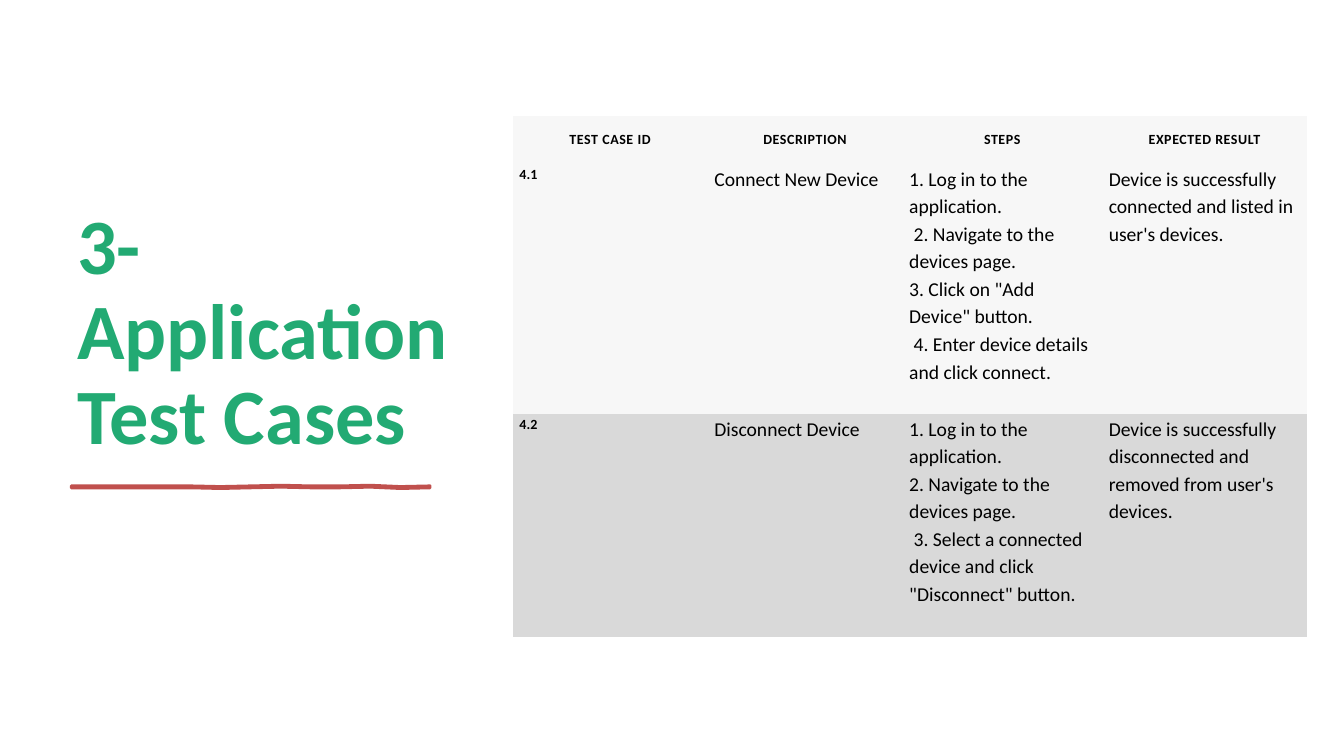
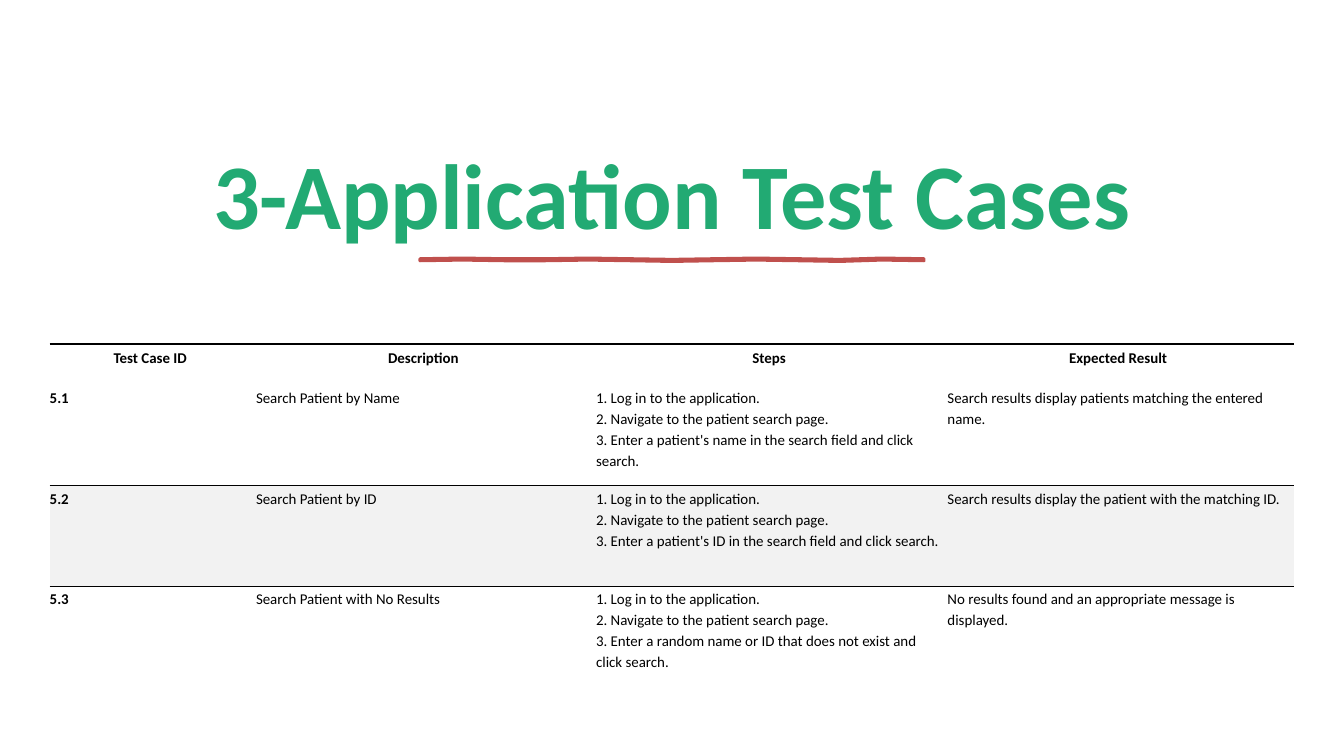
from lxml import etree
from pptx import Presentation
from pptx.dml.color import RGBColor
from pptx.enum.text import MSO_ANCHOR, PP_ALIGN
from pptx.oxml.ns import qn
from pptx.util import Pt

LEFT, CENTER = PP_ALIGN.LEFT, PP_ALIGN.CENTER
BOTTOM = MSO_ANCHOR.BOTTOM
EMU_PER_PX = 9144
FONT = "Calibri"
GREEN, RED, BLACK = "22AA73", "C0504D", "000000"
TITLE = "3-Application Test Cases"
NO_STYLE = "{2D5ABB26-0587-4C30-8999-92F81FD0307C}"
STROKE_HEIGHT = 3
LOG_IN = "1. Log in to the application."
SEARCH_PAGE = "2. Navigate to the patient search page."


def px(n):
    return n * EMU_PER_PX


def rgb(value):
    return RGBColor.from_string(value)


slides = [
    {
        "title_box": (105, 105, 586, 586), "title_size": 84, "title_align": LEFT,
        "stroke": (106, 723, 534), "stroke_width": 3,
        "wave": [0, 0, 0, 0, 0, 1, 0, -1, 0, 0, -1, 1, 0],
        "table_at": (763, 172), "cols": [290, 290, 297, 305], "rows": [72, 372, 332],
        "header_margins": (19, 19, 19, 19), "margins": (10, 0, 10, 13),
        "label_size": 15, "body_size": 21, "header_spacing": "60",
        "fills": ["F7F7F7", "F7F7F7", "D9D9D9"], "borders": {},
        "cells": [
            ["TEST CASE ID", "DESCRIPTION", "STEPS", "EXPECTED RESULT"],
            ["4.1", "Connect New Device",
             LOG_IN + "\n 2. Navigate to the devices page."
             "\n3. Click on \"Add Device\" button."
             "\n 4. Enter device details and click connect.",
             "Device is successfully connected and listed in user's devices."],
            ["4.2", "Disconnect Device",
             LOG_IN + "\n2. Navigate to the devices page."
             "\n 3. Select a connected device and click \"Disconnect\" button.",
             "Device is successfully disconnected and removed from user's devices."],
        ],
    },
    {
        "title_box": (105, 75, 1790, 301), "title_size": 99, "title_align": CENTER,
        "stroke": (625, 385, 750), "stroke_width": 3.25,
        "wave": [0, -1, 0, 0, -1, 0, 1, 0, -1, 0, 1, -1, 0],
        "table_at": (74, 512), "cols": [307, 506, 523, 516], "rows": [60, 150, 150, 150],
        "header_margins": (0, 3, 8, 23), "margins": (0, 3, 8, 23),
        "label_size": 16, "body_size": 16, "header_spacing": "0",
        "fills": [None, None, "F2F2F2", None],
        "borders": {0: ("a:lnT", 2.25), 1: ("a:lnB", 0.5), 2: ("a:lnT", 0.5)},
        "cells": [
            ["Test Case ID", "Description", "Steps", "Expected Result"],
            ["5.1", "Search Patient by Name",
             f"{LOG_IN}\n{SEARCH_PAGE}"
             "\n3. Enter a patient's name in the search field and click search.",
             "Search results display patients matching the entered name."],
            ["5.2", "Search Patient by ID",
             f"{LOG_IN}\n{SEARCH_PAGE}"
             "\n3. Enter a patient's ID in the search field and click search.",
             "Search results display the patient with the matching ID."],
            ["5.3", "Search Patient with No Results",
             f"{LOG_IN}\n{SEARCH_PAGE}"
             "\n3. Enter a random name or ID that does not exist and click search.",
             "No results found and an appropriate message is displayed."],
        ],
    },
]

prs = Presentation()
prs.slide_width, prs.slide_height = px(2000), px(1125)

for d in slides:
    s = prs.slides.add_slide(prs.slide_layouts[6])
    s.background.fill.solid()
    s.background.fill.fore_color.rgb = rgb("FFFFFF")

    tf = s.shapes.add_textbox(*map(px, d["title_box"])).text_frame
    tf.word_wrap = True
    tf.vertical_anchor = BOTTOM
    p = tf.paragraphs[0]
    p.text = TITLE
    p.alignment = d["title_align"]
    p.line_spacing = 0.9
    font = p.runs[0].font
    font.name, font.size, font.bold = FONT, Pt(d["title_size"]), True
    font.color.rgb = rgb(GREEN)

    x, y, w = d["stroke"]
    step = w / (len(d["wave"]) - 1)
    top = [(x + i * step, y + dy) for i, dy in enumerate(d["wave"])]
    bottom = [(vx, vy + STROKE_HEIGHT) for vx, vy in reversed(top)]
    fb = s.shapes.build_freeform(*top[0], scale=EMU_PER_PX)
    fb.add_line_segments(top[1:] + bottom, close=True)
    sp = fb.convert_to_shape()
    sp.shadow.inherit = False
    sp.fill.solid()
    sp.fill.fore_color.rgb = rgb(RED)
    sp.line.color.rgb = rgb(RED)
    sp.line.width = Pt(d["stroke_width"])

    size = sum(d["cols"]), sum(d["rows"])
    table = s.shapes.add_table(len(d["rows"]), len(d["cols"]),
                               *map(px, d["table_at"] + size)).table
    table.first_row = table.horz_banding = False
    table._tbl.tblPr.find(qn("a:tableStyleId")).text = NO_STYLE
    for col, width in zip(table.columns, d["cols"]):
        col.width = px(width)
    for i, (row, height) in enumerate(zip(table.rows, d["rows"])):
        row.height = px(height)
        header = i == 0
        margins = d["header_margins"] if header else d["margins"]
        for j, cell in enumerate(row.cells):
            label = header or j == 0
            cell.text = d["cells"][i][j]
            (cell.margin_left, cell.margin_top,
             cell.margin_right, cell.margin_bottom) = map(px, margins)
            if d["fills"][i]:
                cell.fill.solid()
                cell.fill.fore_color.rgb = rgb(d["fills"][i])
            else:
                cell.fill.background()
            if i in d["borders"]:
                side, weight = d["borders"][i]
                ln = etree.Element(qn(side), w=str(Pt(weight)))
                fill = etree.SubElement(ln, qn("a:solidFill"))
                etree.SubElement(fill, qn("a:srgbClr"), val=BLACK)
                cell._tc.get_or_add_tcPr().insert(0, ln)
            for p in cell.text_frame.paragraphs:
                p.alignment = CENTER if header else LEFT
                p.line_spacing = 1.15
                for r in p.runs:
                    r.font.name, r.font.bold = FONT, label
                    r.font.size = Pt(d["label_size"] if label else d["body_size"])
                    r.font.color.rgb = rgb(BLACK)
                    if header:
                        r._r.get_or_add_rPr().set("spc", d["header_spacing"])

prs.save("out.pptx")
